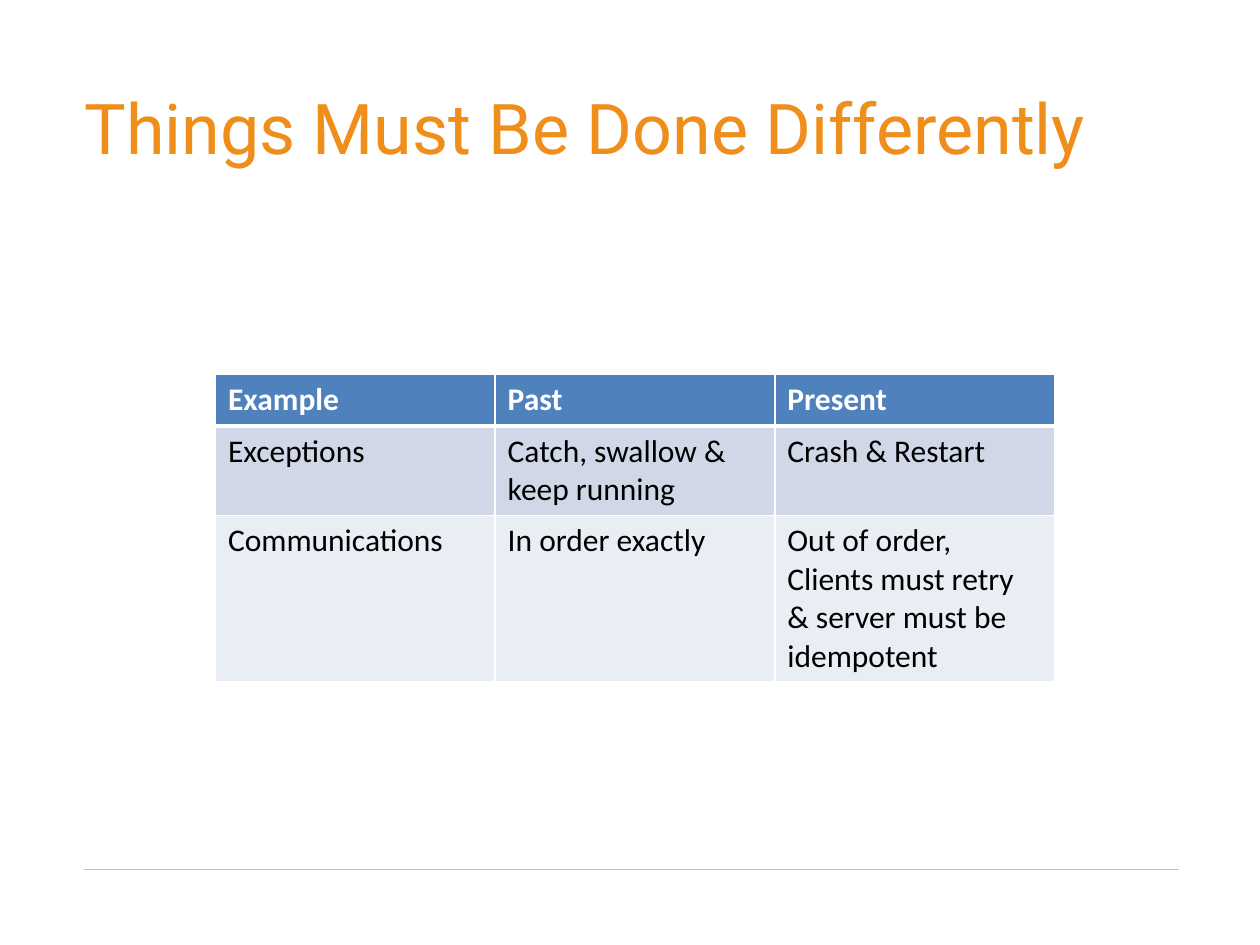
import pptx
import pptx.dml.color
import pptx.enum.shapes
import pptx.enum.text
import pptx.oxml.ns
import pptx.util
from lxml import etree

Inches = pptx.util.Inches


def color(hex_string):
    """Return the RGB colour for a hex string."""
    return pptx.dml.color.RGBColor.from_string(hex_string)


def add_border(cell, side, width):
    """Give one side of a table cell a white line of a width in points."""
    qn = pptx.oxml.ns.qn
    properties = cell._tc.get_or_add_tcPr()
    line = etree.SubElement(properties, qn("a:ln" + side), w=str(pptx.util.Pt(width)))
    fill = etree.SubElement(line, qn("a:solidFill"))
    etree.SubElement(fill, qn("a:srgbClr"), val="FFFFFF")


presentation = pptx.Presentation()
presentation.slide_width = Inches(10)
presentation.slide_height = Inches(7.5)
slide = presentation.slides.add_slide(presentation.slide_layouts[5])

# Footer rule
rule = slide.shapes.add_connector(
    pptx.enum.shapes.MSO_CONNECTOR.STRAIGHT,
    Inches(0.67), Inches(6.9), Inches(9.36), Inches(6.9))
rule.line.color.rgb = color("BFBFBF")
rule.line.width = pptx.util.Pt(0.75)
etree.SubElement(rule._element.spPr, pptx.oxml.ns.qn("a:effectLst"))

# Title
title = slide.shapes.title
title_place = {"left": 0.67, "top": 0.6, "width": 8.74, "height": 0.79}
for name, value in title_place.items():
    setattr(title, name, Inches(value))
title_frame = title.text_frame
title_frame.text = "Things Must Be Done Differently"
frame_format = {
    "margin_left": 0, "margin_top": 0,
    "margin_right": Inches(0.1), "margin_bottom": Inches(0.05),
    "vertical_anchor": pptx.enum.text.MSO_ANCHOR.BOTTOM,
    "auto_size": pptx.enum.text.MSO_AUTO_SIZE.NONE,
    "word_wrap": True,
}
for name, value in frame_format.items():
    setattr(title_frame, name, value)
title_paragraph = title_frame.paragraphs[0]
title_paragraph.alignment = pptx.enum.text.PP_ALIGN.LEFT
title_font = title_paragraph.runs[0].font
for name, value in {"name": "Roboto", "size": pptx.util.Pt(40)}.items():
    setattr(title_font, name, value)
title_font.color.rgb = color("F08E1B")

# Comparison table
rows = [
    ["Example", "Past", "Present"],
    ["Exceptions", "Catch, swallow & keep running", "Crash & Restart"],
    ["Communications", "In order exactly",
     "Out of order, Clients must retry & server must be idempotent"],
]
row_heights = [0.41, 0.7, 1.3]
row_fills = ["4F81BD", "D0D8E8", "E9EDF4"]
table = slide.shapes.add_table(
    len(rows), len(rows[0]), Inches(1.71), Inches(2.97),
    Inches(6.66), Inches(sum(row_heights))).table

for row_index, texts in enumerate(rows):
    table.rows[row_index].height = Inches(row_heights[row_index])
    is_header = row_index == 0
    for column_index, text in enumerate(texts):
        cell = table.cell(row_index, column_index)
        borders = {"L": 1, "R": 1, "T": 3 if row_index == 1 else 1,
                   "B": 3 if is_header else 1}
        for side, width in borders.items():
            add_border(cell, side, width)
        cell.fill.solid()
        cell.fill.fore_color.rgb = color(row_fills[row_index])
        cell.text = text
        font = cell.text_frame.paragraphs[0].runs[0].font
        cell_font = {"name": "Calibri", "size": pptx.util.Pt(18), "bold": is_header}
        for name, value in cell_font.items():
            setattr(font, name, value)
        font.color.rgb = color("FFFFFF" if is_header else "000000")

presentation.save("out.pptx")
